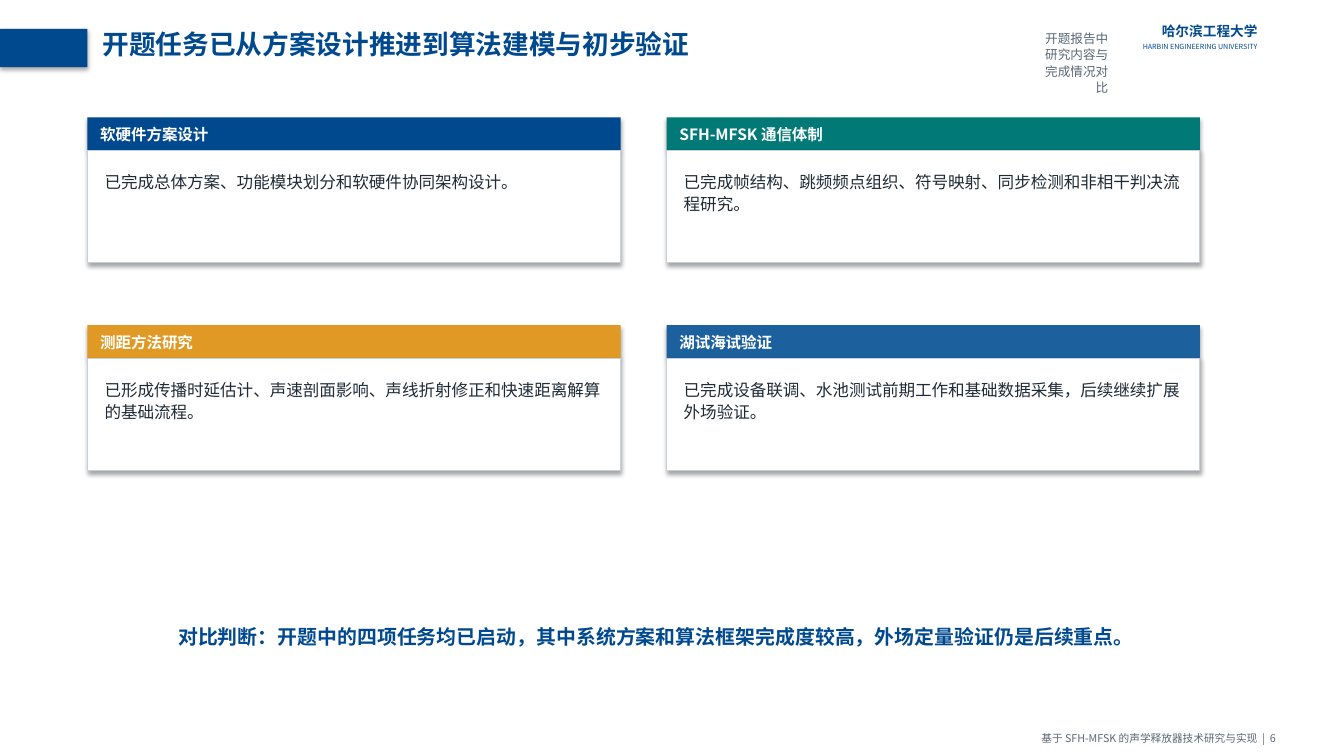
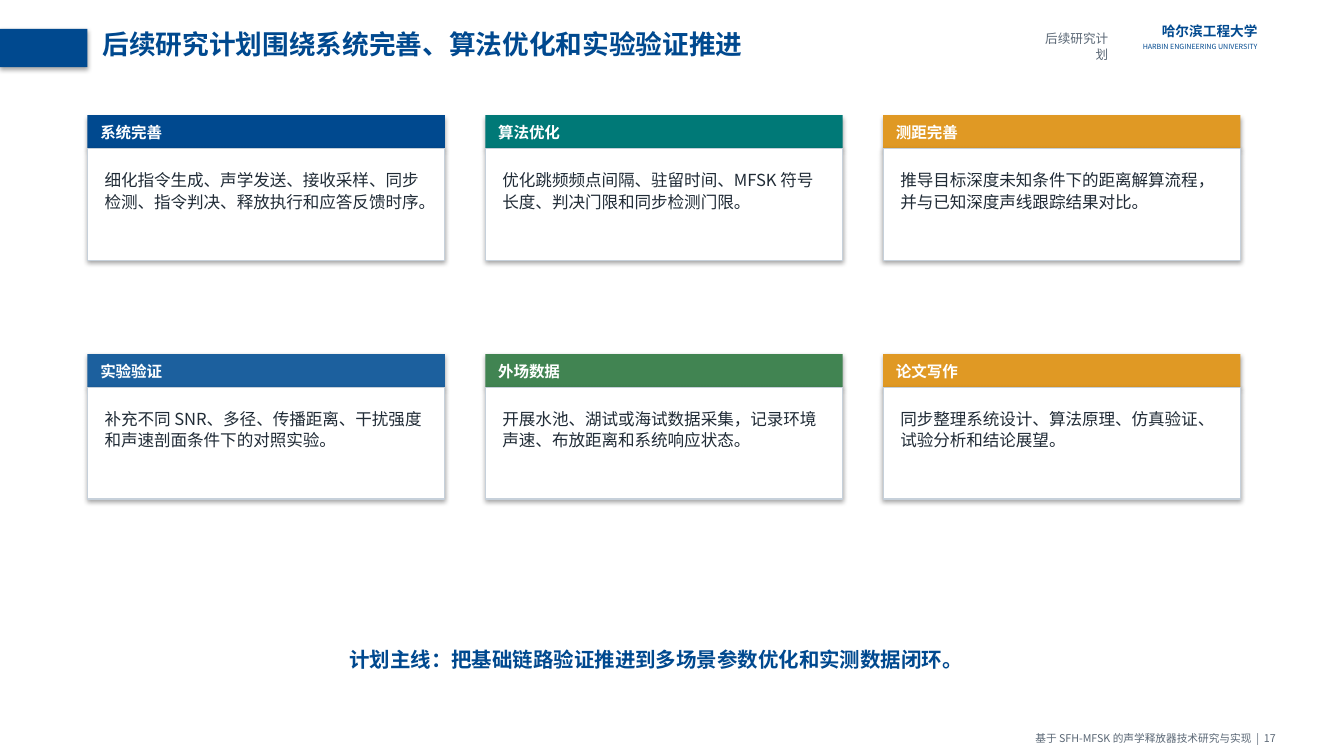
"""Build two slides on thesis progress and the plan for further research."""
from lxml.etree import SubElement
from pptx import Presentation
from pptx.dml.color import RGBColor
from pptx.enum.shapes import MSO_SHAPE as Shape
from pptx.enum.text import MSO_ANCHOR as Anchor, MSO_AUTO_SIZE as Auto, PP_ALIGN as Align
from pptx.oxml.ns import qn
from pptx.util import Pt

FACE = "Noto Sans CJK SC"
NAVY = RGBColor(0x00, 0x49, 0x8F)
TEAL = RGBColor(0x00, 0x79, 0x77)
GOLD = RGBColor(0xE0, 0x99, 0x24)
BLUE = RGBColor(0x1C, 0x60, 0x9E)
GREEN = RGBColor(0x41, 0x84, 0x52)
GREY = RGBColor(0x5A, 0x67, 0x75)
INK = RGBColor(0x20, 0x2B, 0x36)
RULE = RGBColor(0xC6, 0xD0, 0xDA)
WHITE = RGBColor(0xFF, 0xFF, 0xFF)

LEFT, HEAD, BODY = 59.04, 22.32, 75.6

PAGES = [
    dict(
        title="开题任务已从方案设计推进到算法建模与初步验证",
        topic="开题报告中研究内容与完成情况对比",
        cols=2, top=79.2, wide=360, gap=30.96, step=140.4,
        cards=[
            ("软硬件方案设计", NAVY, "已完成总体方案、功能模块划分和软硬件协同架构设计。"),
            ("SFH-MFSK 通信体制", TEAL, "已完成帧结构、跳频频点组织、符号映射、同步检测和非相干判决流程研究。"),
            ("测距方法研究", GOLD, "已形成传播时延估计、声速剖面影响、声线折射修正和快速距离解算的基础流程。"),
            ("湖试海试验证", BLUE, "已完成设备联调、水池测试前期工作和基础数据采集，后续继续扩展外场验证。"),
        ],
        claim="对比判断：开题中的四项任务均已启动，其中系统方案和算法框架完成度较高，外场定量验证仍是后续重点。",
        base=419.04, size=13.4, page=6,
    ),
    dict(
        title="后续研究计划围绕系统完善、算法优化和实验验证推进",
        topic="后续研究计划",
        cols=3, top=77.76, wide=241.2, gap=27.36, step=161.28,
        cards=[
            ("系统完善", NAVY, "细化指令生成、声学发送、接收采样、同步检测、指令判决、释放执行和应答反馈时序。"),
            ("算法优化", TEAL, "优化跳频频点间隔、驻留时间、MFSK 符号长度、判决门限和同步检测门限。"),
            ("测距完善", GOLD, "推导目标深度未知条件下的距离解算流程，并与已知深度声线跟踪结果对比。"),
            ("实验验证", BLUE, "补充不同 SNR、多径、传播距离、干扰强度和声速剖面条件下的对照实验。"),
            ("外场数据", GREEN, "开展水池、湖试或海试数据采集，记录环境声速、布放距离和系统响应状态。"),
            ("论文写作", GOLD, "同步整理系统设计、算法原理、仿真验证、试验分析和结论展望。"),
        ],
        claim="计划主线：把基础链路验证推进到多场景参数优化和实测数据闭环。",
        base=434.16, size=13.8, page=17,
    ),
]


def write(text, x, y, w, h, size, color, bold=False, align=Align.LEFT, box=None):
    box = box or slide.shapes.add_textbox(0, 0, 0, 0)
    box.left, box.top, box.width, box.height = Pt(x), Pt(y), Pt(w), Pt(h)
    frame = box.text_frame
    frame.text = text
    frame.word_wrap = True
    frame.auto_size = Auto.SHAPE_TO_FIT_TEXT
    frame.vertical_anchor = Anchor.TOP
    frame.margin_left = frame.margin_right = Pt(2.88)
    frame.margin_top = frame.margin_bottom = Pt(1.44)
    para = frame.paragraphs[0]
    para.alignment = align
    para.line_spacing = 1.08
    font = para.font
    font.size, font.bold, font.name = Pt(size), bold, FACE
    font.color.rgb = color
    SubElement(para._p.pPr.find(qn("a:defRPr")), qn("a:ea"), typeface=FACE)


def block(x, y, w, h, fill, line=None):
    rect = slide.shapes.add_shape(Shape.RECTANGLE, Pt(x), Pt(y), Pt(w), Pt(h))
    rect.fill.solid()
    rect.fill.fore_color.rgb = fill
    if line is None:
        rect.line.fill.background()
    else:
        rect.line.color.rgb = line
        rect.line.width = Pt(0.75)


deck = Presentation()
deck.slide_width, deck.slide_height = Pt(907.2), Pt(510.48)

for page in PAGES:
    slide = deck.slides.add_slide(deck.slide_layouts[5])
    block(0, 19.44, LEFT, 25.92, NAVY)
    write(page["title"], 66.24, 15.84, 612, 31.68, 18, NAVY, True, box=slide.shapes.title)
    write("哈尔滨工程大学", 718.56, 12.96, 133.2, 14.4, 9.2, NAVY, True, Align.RIGHT)
    write("HARBIN ENGINEERING UNIVERSITY", 718.56, 26.64, 133.2, 10.8, 4.8, NAVY, align=Align.RIGHT)
    write(page["topic"], 694.8, 18.72, 56.16, 18, 8.5, GREY, align=Align.RIGHT)

    wide = page["wide"]
    for i, (name, color, text) in enumerate(page["cards"]):
        row, col = divmod(i, page["cols"])
        x = LEFT + col * (wide + page["gap"])
        y = page["top"] + row * page["step"]
        block(x, y, wide, HEAD, color)
        write(name, x + 5.76, y + 2.88, wide - 11.52, 14.4, 10.5, WHITE, True)
        block(x, y + HEAD, wide, BODY, WHITE, RULE)
        write(text, x + 8.64, y + 34.56, wide - 17.28, 44.64, 11.2, INK)

    write(page["claim"], 75.6, page["base"], 734.4, 24, page["size"], NAVY, True, Align.CENTER)
    write(f"基于 SFH-MFSK 的声学释放器技术研究与实现  |  {page['page']}",
          586.8, 491.76, 277.2, 12.96, 7.2, GREY, align=Align.RIGHT)

deck.save("out.pptx")
